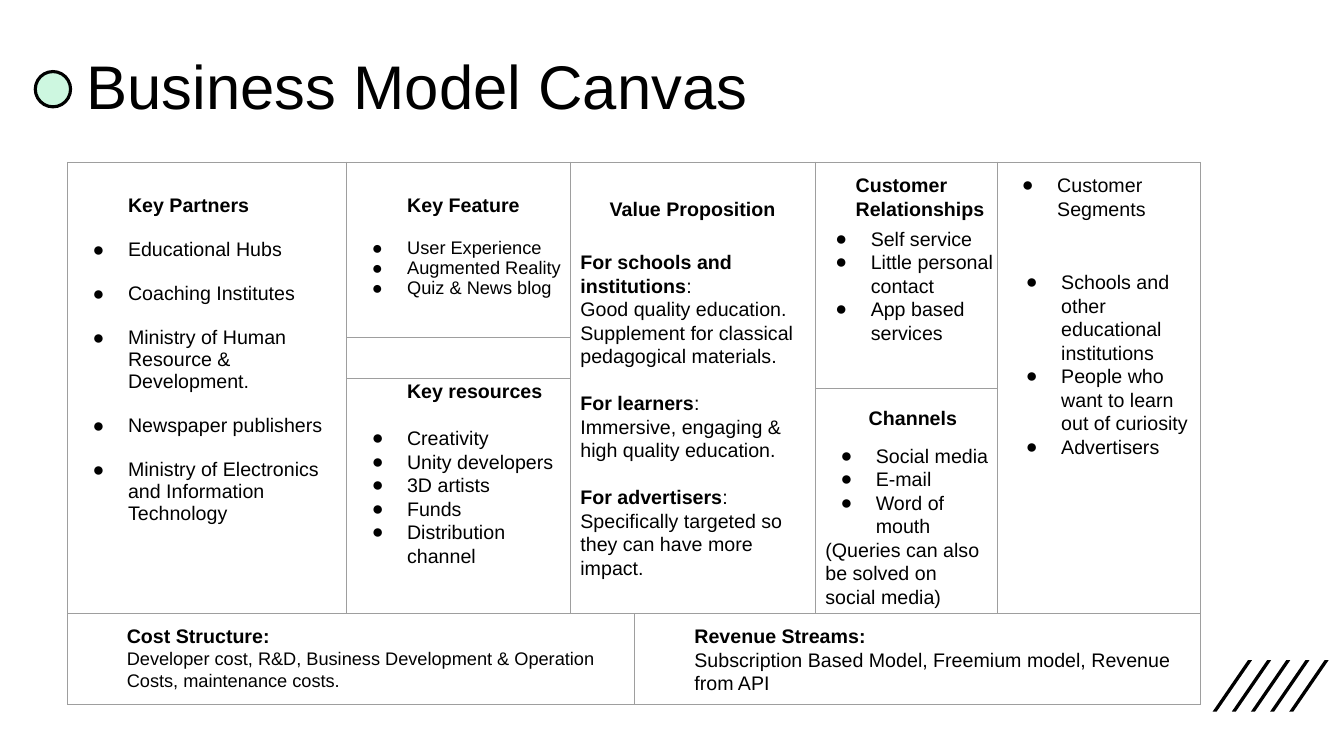
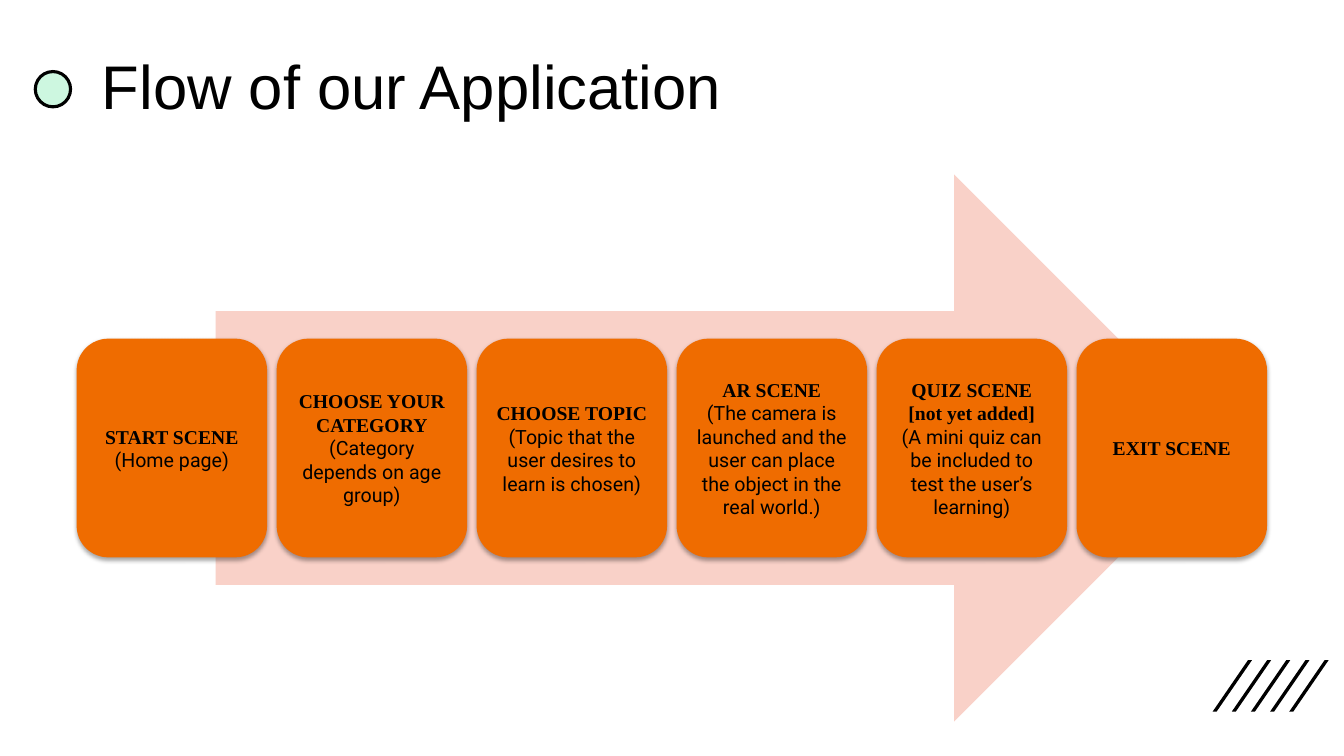
from lxml.etree import SubElement
from pptx import Presentation
from pptx.dml.color import RGBColor
from pptx.enum.shapes import MSO_SHAPE
from pptx.enum.text import MSO_ANCHOR, PP_ALIGN
from pptx.oxml import parse_xml
from pptx.oxml.ns import nsdecls, qn
from pptx.util import Inches, Pt

BLACK = RGBColor(0x00, 0x00, 0x00)
MINT = RGBColor(0xCD, 0xF7, 0xE0)
GRID_GREY = RGBColor(0x9E, 0x9E, 0x9E)
PINK = RGBColor(0xF9, 0xD1, 0xC8)
ORANGE = RGBColor(0xEF, 0x6C, 0x00)

HEADING = dict(name="Arial", size=Pt(14), bold=True)
BODY = dict(name="Arial", size=Pt(14), bold=False)
SMALL = dict(name="Arial", size=Pt(13), bold=False)
STEP_NAME = dict(name="Times New Roman", size=Pt(14), bold=True)
STEP_NOTE = dict(name="Roboto", size=Pt(14), bold=False)
TITLE = dict(name="Arial", size=Pt(44), bold=False)

LOOSE, TIGHT = 16.8, 15.7
INDENT, HANG = 0.5, 0.35


def line(text, style=BODY, indent=0.0, before=0.0, pitch=LOOSE, bullet=False):
    spans = [(text, style)] if isinstance(text, str) else text
    return dict(spans=spans, indent=indent, before=before, pitch=pitch, bullet=bullet)


def heading(text, pitch=LOOSE):
    return line(text, HEADING, INDENT, 0, pitch)


def bullets(items, first=0.0, between=0.0, style=BODY, pitch=LOOSE):
    return [line(item, style, INDENT, between if number else first, pitch, True)
            for number, item in enumerate(items)]


def audience(name, sentences, before=LOOSE):
    return [line([(name, HEADING), (":", BODY)], before=before)] + [line(s) for s in sentences]


PARTNERS = [heading("Key Partners", TIGHT)] + bullets([
    "Educational Hubs",
    "Coaching Institutes",
    "Ministry of Human Resource & Development.",
    "Newspaper publishers",
    "Ministry of Electronics and Information Technology",
], TIGHT, TIGHT, pitch=TIGHT)

FEATURES = [heading("Key Feature", TIGHT)] + bullets(
    ["User Experience", "Augmented Reality", "Quiz & News blog"],
    TIGHT, style=SMALL, pitch=14.3)

RESOURCES = [heading("Key resources")] + bullets(
    ["Creativity", "Unity developers", "3D artists", "Funds", "Distribution channel"], LOOSE)

VALUES = (
    audience("For schools and institutions", [
        "Good quality education.",
        "Supplement for classical pedagogical materials."], 0)
    + audience("For learners", ["Immersive, engaging & high quality education."])
    + audience("For advertisers", ["Specifically targeted so they can have more impact."])
)

RELATIONSHIPS = bullets(["Self service", "Little personal contact", "App based services"])

CHANNELS = bullets(["Social media", "E-mail", "Word of mouth"]) + [
    line("(Queries can also be solved on social media)")]

SEGMENTS = bullets([
    "Schools and other educational institutions",
    "People who want to learn out of curiosity",
    "Advertisers",
])

COSTS = [heading("Cost Structure:"), line(
    "Developer cost, R&D, Business Development & Operation Costs, maintenance costs.",
    SMALL, INDENT, pitch=TIGHT)]
REVENUES = [heading("Revenue Streams:"), line(
    "Subscription Based Model, Freemium model, Revenue from API", BODY, INDENT)]

CANVAS_TOP, FOOT_TOP = 1.61, 6.09
CANVAS_GRIDS = [
    (0.67, FOOT_TOP, [5.62, 5.62], [0.9], []),
    (0.67, CANVAS_TOP, [2.77], [4.48], PARTNERS),
    (3.44, CANVAS_TOP, [2.22], [1.74, 0.41], FEATURES),
    (5.66, CANVAS_TOP, [2.43], [4.48], []),
    (8.09, CANVAS_TOP, [1.81], [2.24, 2.24], []),
    (9.9, CANVAS_TOP, [2.01], [4.48], []),
]
CANVAS_TEXTS = [
    (0.66, 6.09, 5.62, 1.07, COSTS),
    (7.89, 1.62, 2.01, 0.77, [heading("Customer Relationships")]),
    (3.44, 3.66, 2.23, 2.44, RESOURCES),
    (9.89, 1.62, 1.81, 0.42, bullets(["Customer Segments"])),
    (8.02, 3.93, 1.81, 0.48, [heading("Channels")]),
    (6.29, 6.09, 5.62, 0.9, REVENUES),
    (5.45, 1.85, 2.43, 0.53, [heading("Value Proposition")]),
    (5.66, 2.38, 2.43, 3.71, VALUES),
    (8.09, 4.3, 1.82, 1.68, CHANNELS),
    (8.04, 2.15, 1.92, 1.66, RELATIONSHIPS),
    (9.93, 2.58, 2.09, 3.52, SEGMENTS),
]

FLOW_STEPS = [
    ("START SCENE", "(Home page)"),
    ("CHOOSE YOUR CATEGORY", "(Category depends on age group)"),
    ("CHOOSE TOPIC", "(Topic that the user desires to learn is chosen)"),
    ("AR SCENE", "(The camera is launched and the user can place the object in the real world.)"),
    ("QUIZ SCENE [not yet added]", "(A mini quiz can be included to test the user’s learning)"),
    ("EXIT SCENE", ""),
]
FLOW_LEFT, FLOW_RIGHT, STEP_WIDTH = 0.76, 12.57, 1.89


def inches(*lengths):
    return [Inches(length) for length in lengths]


def apply(target, values):
    for name, value in values.items():
        setattr(target, name, value)


def set_margins(frame, left, top, right, bottom):
    names = ("margin_left", "margin_top", "margin_right", "margin_bottom")
    apply(frame, dict(zip(names, inches(left, top, right, bottom))))


def write(frame, lines, align=PP_ALIGN.LEFT):
    for number, entry in enumerate(lines):
        para = frame.add_paragraph() if number else frame.paragraphs[0]
        apply(para, dict(alignment=align, line_spacing=Pt(entry["pitch"]),
                         space_before=Pt(entry["before"]), space_after=Pt(0)))
        properties = para._p.get_or_add_pPr()
        properties.set("marL", str(Inches(entry["indent"])))
        properties.set("indent", str(Inches(-HANG if entry["bullet"] else 0)))
        if entry["bullet"]:
            colour = SubElement(properties, qn("a:buClr"))
            SubElement(colour, qn("a:srgbClr"), val=str(BLACK))
            SubElement(properties, qn("a:buFont"), typeface="Arial")
            SubElement(properties, qn("a:buChar"), char="●")
        for text, style in entry["spans"]:
            span = para.add_run()
            span.text = text
            apply(span.font, style)
            span.font.color.rgb = BLACK


def paint(shape, fill, outline=None):
    shape.shadow.inherit = False
    shape.fill.solid()
    shape.fill.fore_color.rgb = fill
    if outline:
        shape.line.color.rgb, shape.line.width = outline
    else:
        shape.line.fill.background()
    return shape


def add_page(deck, title, left):
    page = deck.slides.add_slide(deck.slide_layouts[5])
    box = page.shapes.title
    apply(box, dict(zip(("left", "top", "width", "height"), inches(left, 0.16, 11.5, 1.45))))
    frame = box.text_frame
    frame.word_wrap = True
    frame.vertical_anchor = MSO_ANCHOR.MIDDLE
    set_margins(frame, 0.1, 0.05, 0.1, 0.05)
    write(frame, [line(title, TITLE)])
    frame.paragraphs[0].line_spacing = 0.9
    return page


def decorate_layout(page):
    marks = []
    for number in range(5):
        left = 12.03 + 0.19 * number
        corners = [(left + 0.04, 7.06), (left, 7.06), (left + 0.35, 6.55), (left + 0.39, 6.55)]
        points = [inches(*corner) for corner in corners]
        builder = page.shapes.build_freeform(*points[0])
        builder.add_line_segments(points[1:], close=True)
        marks.append(paint(builder.convert_to_shape(), BLACK))
    dot = page.shapes.add_shape(MSO_SHAPE.OVAL, *inches(0.35, 0.71, 0.35, 0.35))
    marks.append(paint(dot, MINT, (BLACK, Pt(2.25))))
    for mark in marks:
        page.slide_layout.shapes.element.append(mark.element)


def add_border(cell):
    properties = cell._tc.get_or_add_tcPr()
    for place, side in enumerate("LRTB"):
        properties.insert(place, parse_xml(
            f'<a:ln{side} {nsdecls("a")} w="{Pt(0.75)}"><a:solidFill>'
            f'<a:srgbClr val="{GRID_GREY}"/></a:solidFill></a:ln{side}>'))


def add_grid(page, left, top, widths, heights, lines):
    table = page.shapes.add_table(
        len(heights), len(widths), *inches(left, top, sum(widths), sum(heights))).table
    apply(table, dict(first_row=False, horz_banding=False))
    for column, width in zip(table.columns, widths):
        column.width = Inches(width)
    for row, height in zip(table.rows, heights):
        row.height = Inches(height)
    for cell in table.iter_cells():
        set_margins(cell, 0.1, 0.05, 0.06, 0.05)
        cell.fill.background()
        add_border(cell)
    if lines:
        first = table.cell(0, 0)
        first.margin_top = Inches(0.32)
        write(first.text_frame, lines)


def add_canvas(page):
    for grid in CANVAS_GRIDS:
        add_grid(page, *grid)
    for *place, lines in CANVAS_TEXTS:
        frame = page.shapes.add_textbox(*inches(*place)).text_frame
        frame.word_wrap = True
        set_margins(frame, 0.1, 0.1, 0.1, 0.1)
        write(frame, lines)


def add_soft_shadow(shape):
    effects = shape.element.spPr.find(qn("a:effectLst"))
    effects.append(parse_xml(
        f'<a:outerShdw {nsdecls("a")} blurRad="{Pt(3.1)}" dist="{Pt(1.8)}" dir="5400000" '
        f'rotWithShape="0"><a:srgbClr val="{BLACK}"><a:alpha val="35000"/></a:srgbClr>'
        '</a:outerShdw>'))


def add_flow(page):
    arrow = page.shapes.add_shape(MSO_SHAPE.RIGHT_ARROW, *inches(2.14, 1.73, 10.04, 5.43))
    paint(arrow, PINK)
    pitch = (FLOW_RIGHT - FLOW_LEFT - STEP_WIDTH) / (len(FLOW_STEPS) - 1)
    for number, (name, note) in enumerate(FLOW_STEPS):
        step = page.shapes.add_shape(
            MSO_SHAPE.ROUNDED_RECTANGLE,
            *inches(FLOW_LEFT + number * pitch, 3.36, STEP_WIDTH, 2.17))
        paint(step, ORANGE)
        add_soft_shadow(step)
        frame = step.text_frame
        frame.word_wrap = True
        frame.vertical_anchor = MSO_ANCHOR.MIDDLE
        set_margins(frame, 0.1, 0.1, 0.1, 0.1)
        lines = [line(name, STEP_NAME)] + ([line(note, STEP_NOTE)] if note else [])
        write(frame, lines, PP_ALIGN.CENTER)


def main():
    deck = Presentation()
    deck.slide_width, deck.slide_height = inches(40 / 3, 7.5)
    canvas_page = add_page(deck, "Business Model Canvas", 0.76)
    decorate_layout(canvas_page)
    add_canvas(canvas_page)
    add_flow(add_page(deck, "Flow of our Application", 0.91))
    deck.save("out.pptx")


if __name__ == "__main__":
    main()
